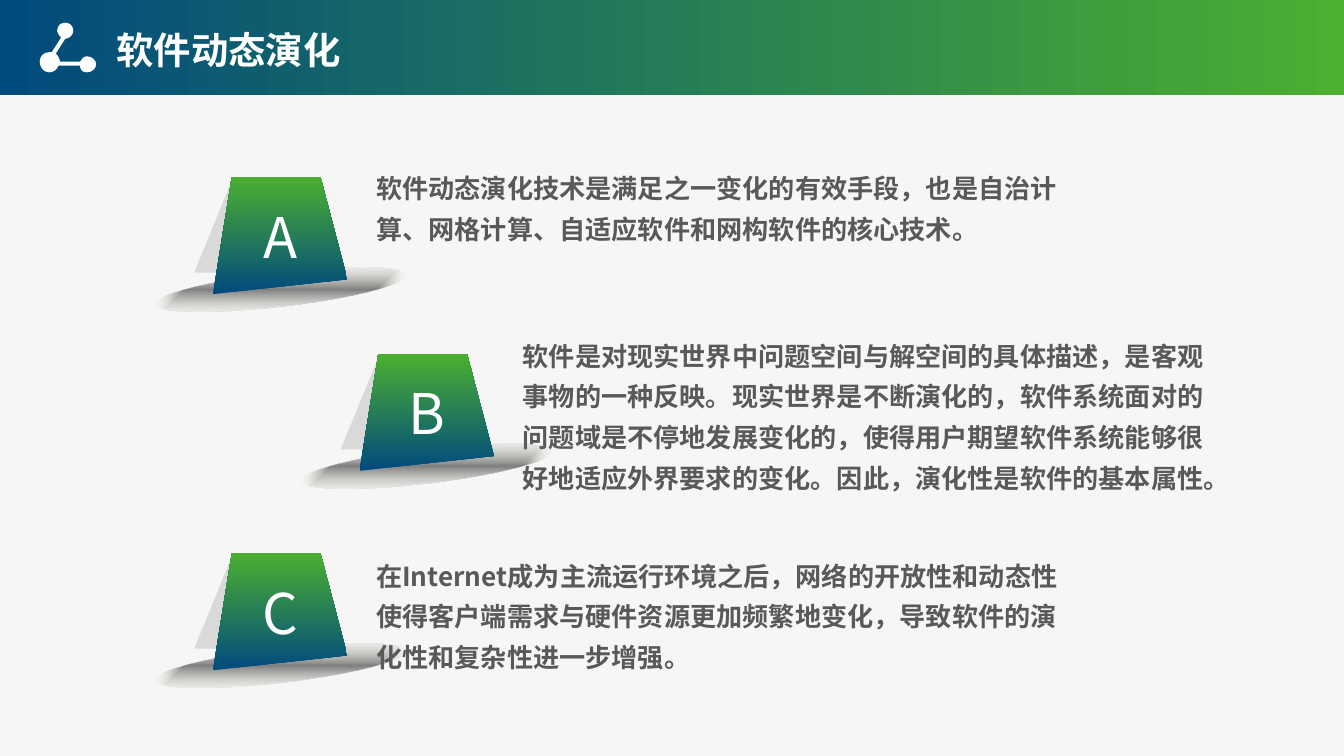
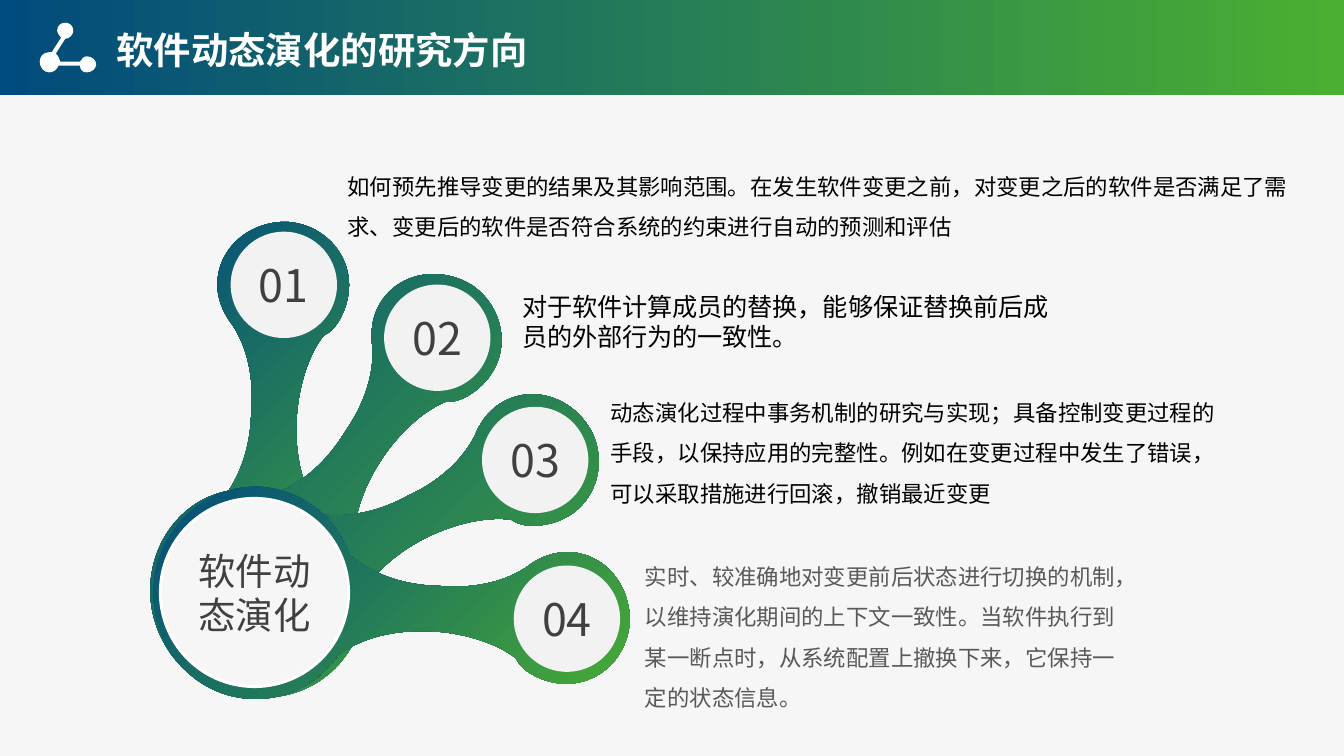
"""Builds two slides on dynamic software evolution and its research directions."""
from lxml import etree
from pptx import Presentation
from pptx.dml.color import RGBColor
from pptx.enum.shapes import MSO_SHAPE
from pptx.enum.text import MSO_ANCHOR, PP_ALIGN
from pptx.oxml.ns import qn
from pptx.util import Cm, Pt

OVAL, RECTANGLE = MSO_SHAPE.OVAL, MSO_SHAPE.RECTANGLE
TOP, MIDDLE = MSO_ANCHOR.TOP, MSO_ANCHOR.MIDDLE
LEFT, CENTER = PP_ALIGN.LEFT, PP_ALIGN.CENTER

BLUE = RGBColor(0x00, 0x4B, 0x7D)
GREEN = RGBColor(0x4B, 0xAF, 0x31)
PAPER = RGBColor(0xF6, 0xF6, 0xF6)
DISC = RGBColor(0xF2, 0xF2, 0xF2)
FOLD = RGBColor(0xD9, 0xD9, 0xD9)
SHADE = RGBColor(0x80, 0x80, 0x80)
HAZE = RGBColor(0xEE, 0xEC, 0xE1)
WHITE = RGBColor(0xFF, 0xFF, 0xFF)
BLACK = RGBColor(0x00, 0x00, 0x00)
INK = RGBColor(0x40, 0x40, 0x40)
GREY = RGBColor(0x59, 0x59, 0x59)

FONT = "Noto Sans CJK SC"
GRID = Cm(0.0254)
WIDE_INSET = (Cm(0.24), Cm(0.13))
SLIM_INSET = (Cm(0.19), Cm(0.1))
NO_INSET = (0, 0)

TITLE = {"size": Pt(20), "bold": True, "color": WHITE, "inset": SLIM_INSET}
LETTER = {"size": Pt(30), "color": WHITE, "align": CENTER, "anchor": MIDDLE}
STATEMENT = {"size": Pt(14), "bold": True, "color": GREY, "spacing": 1.3}
HUB = {"size": Pt(20), "color": INK, "align": CENTER, "anchor": MIDDLE, "inset": NO_INSET}
NUMBER = {**HUB, "size": Pt(24)}
DIRECTION = {"size": Pt(12), "color": BLACK, "spacing": 1.5, "inset": SLIM_INSET}
SHORT_DIRECTION = {"size": Pt(13.5), "color": BLACK}

NETWORK_ICON = [
    (19, 0), (22, 0, 25, 2, 25, 6), (25, 9, 22, 12, 19, 12), (12, 23), (13, 24),
    (14, 25, 14, 26, 15, 28), (15, 29), (30, 29), (31, 27, 33, 25, 35, 25),
    (39, 25, 42, 28, 42, 31), (42, 34, 39, 37, 35, 37), (32, 37, 30, 35, 30, 32),
    (14, 32), (13, 35, 10, 37, 7, 37), (3, 37, 0, 33, 0, 29), (0, 25, 3, 22, 7, 22),
    (8, 22, 8, 22, 9, 22), (16, 11), (15, 10), (14, 9, 13, 7, 13, 6),
    (13, 2, 16, 0, 19, 0),
]
ARM = [
    (76, 0), (106, 1, 133, 19, 144, 47), (159, 59, 183, 68, 212, 67),
    (239, 68, 261, 61, 276, 50), (284, 43, 295, 37, 308, 37),
    (334, 37, 354, 59, 355, 86), (355, 113, 334, 135, 308, 135),
    (298, 135, 289, 132, 282, 128), (277, 125, 274, 122, 272, 118),
    (258, 108, 234, 101, 208, 101), (177, 101, 150, 111, 136, 126),
    (123, 146, 101, 158, 76, 158), (34, 158, 0, 123, 0, 79), (0, 36, 34, 0, 76, 0),
]
PANEL_FOLD = [(29, 0), (0, 71), (21, 71)]
PANEL_FACE = [(94, 0), (28, 0), (14, 87), (114, 76)]


def trace_outline(slide, segments, left, top):
    """Draw line (2 numbers) and Bezier (6 numbers) segments as one freeform."""
    points = [(s[i] * GRID, s[i + 1] * GRID) for s in segments for i in range(0, len(s), 2)]
    builder = slide.shapes.build_freeform(*points[0], scale=1.0)
    builder.add_line_segments(points[1:], close=False)
    outline = builder.convert_to_shape(left, top)
    route = outline.element.spPr.find(".//" + qn("a:path"))
    strokes = iter(route.findall(qn("a:lnTo")))
    for segment in segments[1:]:
        stroke = next(strokes)
        if len(segment) == 6:
            curve = etree.Element(qn("a:cubicBezTo"))
            route.replace(stroke, curve)
            curve.append(stroke[0])
            for handle in (next(strokes), next(strokes)):
                curve.append(handle[0])
                route.remove(handle)
    etree.SubElement(route, qn("a:close"))
    outline.line.fill.background()
    outline.shadow.inherit = False
    return outline


def fill_gradient(shape, start, end, angle=0, path=None, focus=None):
    """Blend two colours along an angle, or outwards from a focus rectangle."""
    shape.fill.gradient()
    shape.fill.gradient_angle = angle
    for stop, color, position in zip(shape.fill.gradient_stops, (start, end), (0, 1)):
        stop.color.rgb = color
        stop.position = position
    if path:
        gradient = shape.element.spPr.find(qn("a:gradFill"))
        gradient.set("rotWithShape", "0")
        line = gradient.find(qn("a:lin"))
        radial = etree.Element(qn("a:path"), path=path)
        etree.SubElement(radial, qn("a:fillToRect"),
                         {side: str(share * 1000) for side, share in zip("ltrb", focus)})
        gradient.replace(line, radial)


prs = Presentation()
prs.slide_width, prs.slide_height = Cm(25.4), Cm(14.29)

wording = []
slides = []
for heading, heading_width in [("软件动态演化", 7.19), ("软件动态演化的研究方向", 9.09)]:
    slide = prs.slides.add_slide(prs.slide_layouts[5])
    slides.append(slide)
    band = slide.shapes.add_shape(RECTANGLE, 0, 0, prs.slide_width, Cm(1.8))
    band.line.fill.background()
    band.shadow.inherit = False
    fill_gradient(band, BLUE, GREEN)
    icon = trace_outline(slide, NETWORK_ICON, Cm(0.75), Cm(0.43))
    icon.fill.solid()
    icon.fill.fore_color.rgb = WHITE
    title = slide.shapes.title
    title.left, title.top, title.width, title.height = Cm(2.01), Cm(0.41), Cm(heading_width), Cm(1.04)
    slide.shapes.element.append(title.element)
    wording.append((title, heading, TITLE))

evolution, research = slides

backdrop = evolution.shapes.add_shape(RECTANGLE, 0, 0, prs.slide_width, prs.slide_height)
backdrop.line.fill.background()
backdrop.shadow.inherit = False
backdrop.fill.solid()
backdrop.fill.fore_color.rgb = PAPER
backdrop.element.nvSpPr.cNvPr.set("id", "99")
prs.slide_master.shapes.element.insert(2, backdrop.element)

statements = [
    ("A", 3.67, 3.35, 2.96, 1.8,
     "软件动态演化技术是满足之一变化的有效手段，也是自治计算、网格计算、自适应软件和网构软件的核心技术。"),
    ("B", 6.44, 6.69, 6.12, 3.35,
     "软件是对现实世界中问题空间与解空间的具体描述，是客观事物的一种反映。现实世界是不断演化的，"
     "软件系统面对的问题域是不停地发展变化的，使得用户期望软件系统能够很好地适应外界要求的变化。"
     "因此，演化性是软件的基本属性。"),
    ("C", 3.67, 10.46, 10.28, 2.57,
     "在Internet成为主流运行环境之后，网络的开放性和动态性使得客户端需求与硬件资源更加频繁地变化，"
     "导致软件的演化性和复杂性进一步增强。"),
]
for letter, left, top, text_top, text_height, statement in statements:
    ground = evolution.shapes.add_shape(OVAL, Cm(left - 0.75), Cm(top + 1.8), Cm(4.75), Cm(0.64))
    ground.rotation = 173.4
    ground.line.fill.background()
    ground.shadow.inherit = False
    fill_gradient(ground, SHADE, HAZE, path="shape", focus=(50, 50, 50, 50))
    outer_color = ground.element.spPr.findall(".//" + qn("a:srgbClr"))[1]
    etree.SubElement(outer_color, qn("a:alpha"), val="0")

    fold = trace_outline(evolution, PANEL_FOLD, Cm(left), Cm(top))
    fold.fill.solid()
    fold.fill.fore_color.rgb = FOLD
    face = trace_outline(evolution, PANEL_FACE, Cm(left), Cm(top))
    fill_gradient(face, BLUE, GREEN, angle=90)
    evolution.shapes.add_group_shape([fold, face])
    wording.append((face, letter, LETTER))

    statement_box = evolution.shapes.add_textbox(Cm(left + 3.2), Cm(text_top), Cm(13.82), Cm(text_height))
    wording.append((statement_box, statement, STATEMENT))

for index, (left, top) in enumerate([(0.5, 6.68), (1.79, 7.06), (2.57, 8.03), (2.9, 9.33)]):
    arm = trace_outline(research, ARM, Cm(left), Cm(top))
    arm.rotation = (272.9 + 30 * index) % 360
    fill_gradient(arm, GREEN, BLUE, path="circle", focus=(100, 100, 0, 0))

discs = [
    ("软件动态演化", 3.03, 9.42, 3.56, PAPER, HUB),
    ("04", 9.71, 10.69, 2.01, DISC, NUMBER),
    ("03", 9.11, 7.69, 2.01, DISC, NUMBER),
    ("02", 7.26, 5.38, 2.01, DISC, NUMBER),
    ("01", 4.36, 4.38, 2.01, DISC, NUMBER),
]
for label, left, top, diameter, color, style in discs:
    disc = research.shapes.add_shape(OVAL, Cm(left), Cm(top), Cm(diameter), Cm(diameter))
    disc.shadow.inherit = False
    disc.fill.solid()
    disc.fill.fore_color.rgb = color
    if style is HUB:
        disc.line.color.rgb = WHITE
        disc.line.width = Pt(1.5)
    else:
        disc.line.fill.background()
    wording.append((disc, label, style))

directions = [
    (12, 10.29, 9.45, 3.28, {**DIRECTION, "color": GREY},
     "实时、较准确地对变更前后状态进行切换的机制，以维持演化期间的上下文一致性。"
     "当软件执行到某一断点时，从系统配置上撤换下来，它保持一定的状态信息。"),
    (11.35, 7.19, 11.94, 2.49, DIRECTION,
     "动态演化过程中事务机制的研究与实现；具备控制变更过程的手段，以保持应用的完整性。"
     "例如在变更过程中发生了错误，可以采取措施进行回滚，撤销最近变更"),
    (6.38, 2.92, 18.19, 1.78, DIRECTION,
     "如何预先推导变更的结果及其影响范围。在发生软件变更之前，对变更之后的软件是否满足了需求、"
     "变更后的软件是否符合系统的约束进行自动的预测和评估"),
    (9.63, 5.38, 10.62, 1.4, SHORT_DIRECTION,
     "对于软件计算成员的替换，能够保证替换前后成员的外部行为的一致性。"),
]
for left, top, width, height, style, direction in directions:
    direction_box = research.shapes.add_textbox(Cm(left), Cm(top), Cm(width), Cm(height))
    wording.append((direction_box, direction, style))

for holder, text, style in wording:
    frame = holder.text_frame
    side, edge = style.get("inset", WIDE_INSET)
    frame_format = {"word_wrap": True, "vertical_anchor": style.get("anchor", TOP),
                    "margin_left": side, "margin_right": side,
                    "margin_top": edge, "margin_bottom": edge}
    paragraph = frame.paragraphs[0]
    paragraph_format = {"alignment": style.get("align", LEFT),
                        "line_spacing": style.get("spacing", 1.0)}
    run = paragraph.add_run()
    run.text = text
    font_format = {"name": FONT, "size": style["size"], "bold": style.get("bold", False)}
    for target, values in [(frame, frame_format), (paragraph, paragraph_format), (run.font, font_format)]:
        for attribute, value in values.items():
            setattr(target, attribute, value)
    run.font.color.rgb = style["color"]
    etree.SubElement(run.font._element, qn("a:ea"), typeface=FONT)

prs.save("out.pptx")
